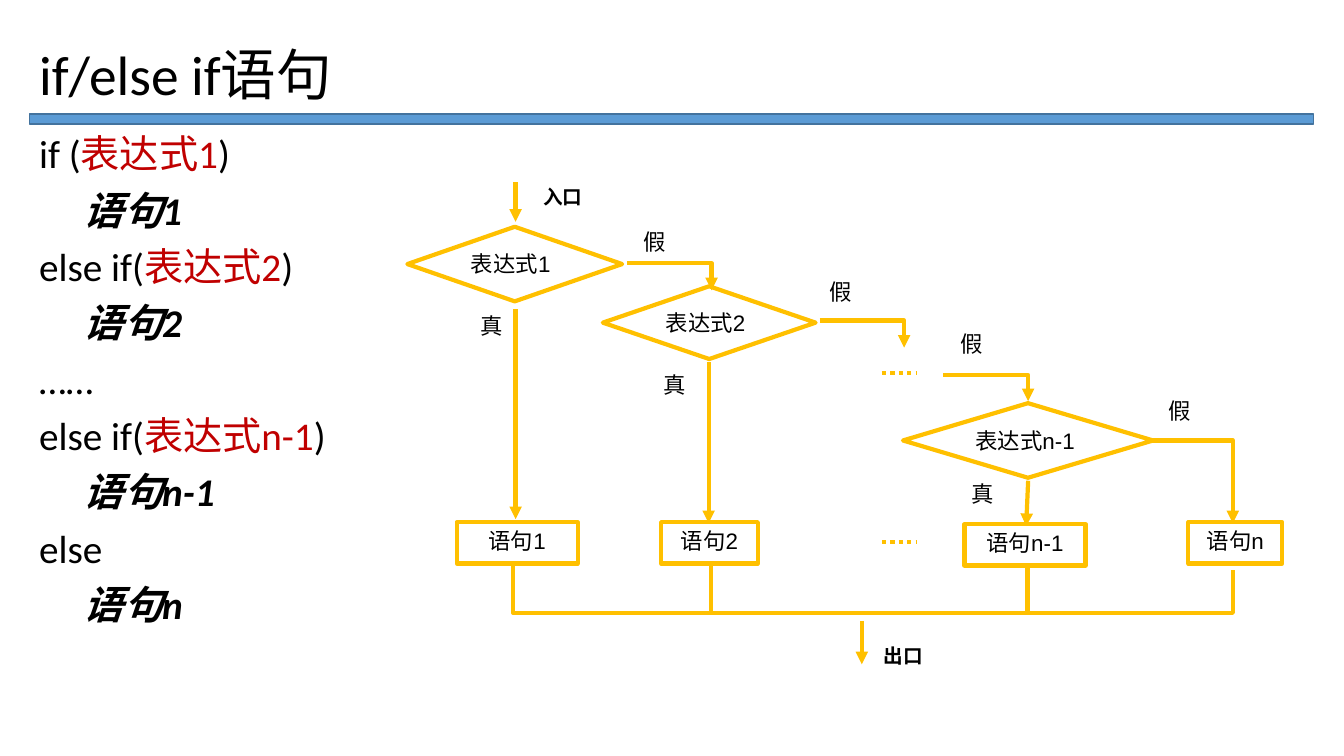
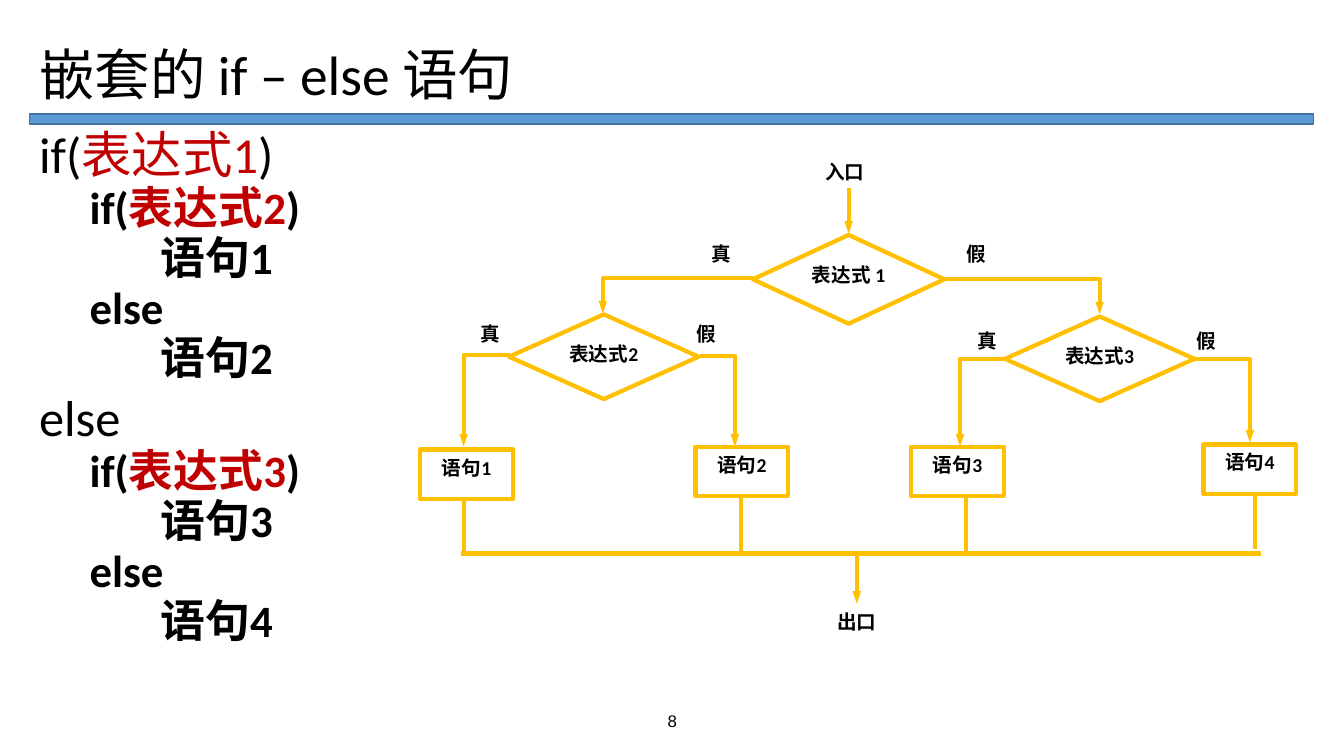
"""Build two flowchart slides about chained and nested if/else statements."""
from dataclasses import dataclass, replace
from typing import Any, NamedTuple, Optional, Sequence

import lxml.etree
import pptx
import pptx.dml.color
import pptx.enum.dml
import pptx.enum.shapes
import pptx.enum.text
import pptx.oxml.ns
import pptx.util

Pt = pptx.util.Pt
Align = pptx.enum.text.PP_ALIGN
Anchor = pptx.enum.text.MSO_ANCHOR
Preset = pptx.enum.shapes.MSO_SHAPE


@dataclass(frozen=True)
class Theme:
    text: str = "000000"
    expression: str = "C00000"
    flow: str = "FFC000"
    band: str = "5B9BD5"
    band_edge: str = "43739E"
    body_font: str = "Calibri"
    chart_font: str = "Arial"
    title_size: float = 39.6
    chain_size: float = 28
    outer_size: float = 36
    nested_size: float = 32
    branch_size: float = 16
    label_size: float = 14
    number_size: float = 12
    flow_width: float = 3
    band_width: float = 1


THEME = Theme()


class Box(NamedTuple):
    left: float
    top: float
    width: float
    height: float


class Point(NamedTuple):
    x: float
    y: float


class Run(NamedTuple):
    text: str
    color: str = THEME.text


@dataclass(frozen=True)
class TextStyle:
    size: float
    font: str = THEME.body_font
    bold: bool = False
    italic: bool = False
    align: Any = Align.LEFT
    spacing: float = 1.0
    before: float = 0
    indent: float = 0


class CodeLine(NamedTuple):
    style: TextStyle
    runs: Sequence[Run]


class Node(NamedTuple):
    text: str
    box: Box
    style: TextStyle
    preset: Optional[Any] = None


@dataclass(frozen=True)
class Route:
    points: Sequence[Point]
    arrow_width: str = ""
    dotted: bool = False


TITLE = TextStyle(THEME.title_size, spacing=0.9)
CHAIN = TextStyle(THEME.chain_size, spacing=0.9, before=10)
CHAIN_BODY = replace(CHAIN, bold=True, italic=True, indent=32)
OUTER = TextStyle(THEME.outer_size, spacing=0.8, before=10)
INNER = TextStyle(THEME.nested_size, bold=True, spacing=0.8, before=5, indent=36)
INNER_BODY = replace(INNER, indent=86.6)
BRANCH = TextStyle(THEME.branch_size, THEME.chart_font)
BRANCH_CENTER = replace(BRANCH, align=Align.CENTER)
LABEL = TextStyle(THEME.label_size, THEME.chart_font, bold=True, align=Align.CENTER, spacing=1.04)
NODE = replace(LABEL, font=THEME.body_font)
NUMBER = TextStyle(THEME.number_size, THEME.chart_font, align=Align.CENTER)

TITLE_BOX = Box(20.9, 28.8, 917.3, 52.6)
BAND_BOX = Box(20.9, 81.4, 917.3, 7.2)
BODY_BOX = Box(20.9, 92.9, 917.3, 393.1)
NUMBER_BOX = Box(318.2, 500.4, 324, 28.8)


def rgb(color: str) -> pptx.dml.color.RGBColor:
    """Turn a hex string into a colour."""
    return pptx.dml.color.RGBColor.from_string(color)


def apply_format(target: Any, values: dict[str, Any]) -> None:
    """Set every named attribute on the target."""
    for name, value in values.items():
        setattr(target, name, value)


def emu(box: Sequence[float]) -> list[int]:
    """Convert point lengths to slide units."""
    return [Pt(length) for length in box]


def write_text(shape: Any, lines: Sequence[CodeLine], anchor: Any = Anchor.TOP) -> None:
    """Fill a shape with styled paragraphs."""
    frame = shape.text_frame
    apply_format(frame, {"word_wrap": True, "vertical_anchor": anchor})
    for index, (style, runs) in enumerate(lines):
        paragraph = frame.add_paragraph() if index else frame.paragraphs[0]
        apply_format(paragraph, {"alignment": style.align, "line_spacing": style.spacing,
                                 "space_before": Pt(style.before)})
        if style.indent:
            paragraph._p.get_or_add_pPr().set("marL", str(Pt(style.indent)))
        for text, color in runs:
            run = paragraph.add_run()
            run.text = text
            apply_format(run.font, {"name": style.font, "size": Pt(style.size),
                                    "bold": style.bold, "italic": style.italic})
            run.font.color.rgb = rgb(color)


def draw_node(slide: Any, node: Node, anchor: Any = Anchor.TOP) -> None:
    """Draw a text label or an outlined flowchart shape."""
    if node.preset is None:
        shape = slide.shapes.add_textbox(*emu(node.box))
    else:
        shape = slide.shapes.add_shape(node.preset, *emu(node.box))
        shape.shadow.inherit = False
        shape.fill.background()
        set_line(shape, THEME.flow, THEME.flow_width)
    write_text(shape, [CodeLine(node.style, [Run(node.text)])], anchor)


def set_line(shape: Any, color: str, width: float) -> None:
    """Give a shape a solid outline."""
    shape.line.color.rgb = rgb(color)
    shape.line.width = Pt(width)


def draw_route(slide: Any, route: Route) -> None:
    """Draw a straight connector or a bent open line."""
    points = [emu(point) for point in route.points]
    if len(points) == 2:
        straight = pptx.enum.shapes.MSO_CONNECTOR.STRAIGHT
        shape = slide.shapes.add_connector(straight, *points[0], *points[1])
    else:
        builder = slide.shapes.build_freeform(*points[0])
        builder.add_line_segments(points[1:], close=False)
        shape = builder.convert_to_shape()
        shape.fill.background()
        shape.shadow.inherit = False
    set_line(shape, THEME.flow, THEME.flow_width)
    qualified = pptx.oxml.ns.qn
    properties = shape._element.spPr
    if len(points) == 2:
        lxml.etree.SubElement(properties, qualified("a:effectLst"))
    if route.dotted:
        shape.line.dash_style = pptx.enum.dml.MSO_LINE.ROUND_DOT
    if route.arrow_width:
        lxml.etree.SubElement(properties.find(qualified("a:ln")), qualified("a:tailEnd"),
                              type="triangle", w=route.arrow_width, len="med")


def line(x: float, y: float, end_x: float, end_y: float, arrow: str = "", dotted: bool = False) -> Route:
    """Describe a straight route."""
    return Route([Point(x, y), Point(end_x, end_y)], arrow, dotted)


def elbow(x: float, y: float, end_x: float, end_y: float, arrow: str) -> Route:
    """Describe a route that goes across and then down to an arrowhead."""
    return Route([Point(x, y), Point(end_x, y), Point(end_x, end_y)], arrow)


def condition(style: TextStyle, opening: str, expression: str) -> CodeLine:
    """Describe a code line that holds a highlighted expression."""
    return CodeLine(style, [Run(opening), Run(expression, THEME.expression), Run(")")])


def plain(style: TextStyle, text: str) -> CodeLine:
    """Describe a code line in one colour."""
    return CodeLine(style, [Run(text)])


def build_slide(presentation: Any, title: str, code: Sequence[CodeLine], nodes: Sequence[Node],
                routes: Sequence[Route], number: str = "") -> None:
    """Add a slide with title, band, code and flowchart."""
    slide = presentation.slides.add_slide(presentation.slide_layouts[6])
    band = slide.shapes.add_shape(Preset.RECTANGLE, *emu(BAND_BOX))
    band.shadow.inherit = False
    band.fill.solid()
    band.fill.fore_color.rgb = rgb(THEME.band)
    set_line(band, THEME.band_edge, THEME.band_width)
    draw_node(slide, Node(title, TITLE_BOX, TITLE), Anchor.MIDDLE)
    write_text(slide.shapes.add_textbox(*emu(BODY_BOX)), code)
    for route in routes:
        draw_route(slide, route)
    for node in nodes:
        draw_node(slide, node)
    if number:
        draw_node(slide, Node(number, NUMBER_BOX, NUMBER), Anchor.MIDDLE)


def build_chain(presentation: Any) -> None:
    """Add the slide on chained conditions."""
    code = [condition(CHAIN, "if (", "表达式1"), plain(CHAIN_BODY, "语句1"),
            condition(CHAIN, "else if(", "表达式2"), plain(CHAIN_BODY, "语句2"),
            plain(CHAIN, "……"),
            condition(CHAIN, "else if(", "表达式n-1"), plain(CHAIN_BODY, "语句n-1"),
            plain(CHAIN, "else"), plain(CHAIN_BODY, "语句n")]
    decisions = {"1": Box(291, 162, 153.4, 53.3), "2": Box(430.6, 204.5, 152, 52),
                 "n-1": Box(645, 288, 178.6, 53.3)}
    statements = {"1": Box(326.2, 373, 86.4, 29.5), "2": Box(472.3, 373, 69, 29.5),
                  "n-1": Box(689, 374.4, 86.4, 29.5), "n": Box(848.9, 373, 67, 29.5)}
    branches = {"假": [(452.9, 159.1), (585.4, 195.1), (679, 232.6), (827.3, 280.1)],
                "真": [(336.2, 219.6), (466.6, 261.4), (686.9, 339.1)]}
    nodes = [Node("表达式" + key, box, BRANCH, Preset.FLOWCHART_DECISION) for key, box in decisions.items()]
    nodes += [Node("语句" + key, box, BRANCH_CENTER, Preset.FLOWCHART_PROCESS)
              for key, box in statements.items()]
    nodes += [Node(text, Box(*place, 32.4, 28), BRANCH) for text, places in branches.items() for place in places]
    nodes += [Node("入口", Box(366.5, 128.2, 71.3, 27.4), LABEL),
              Node("出口", Box(609.8, 455.8, 71.3, 27.4), LABEL)]
    routes = [line(*ends, "med") for ends in (
        (368.3, 130.3, 368.3, 158.4), (368.3, 221, 368.3, 370.8), (506.2, 258.5, 506.2, 373.7),
        (734.4, 343.4, 733, 375.8), (615.6, 443.5, 615.6, 474.5))]
    routes += [elbow(*ends, "med") for ends in (
        (447.8, 187.9, 508.3, 207.4), (585.4, 229, 645.8, 248.4),
        (673.9, 267.8, 734.4, 286.6), (820.8, 314.6, 880.6, 373.7))]
    routes += [line(630, y, 655, y, dotted=True) for y in (266.4, 387.4)]
    routes += [line(x, 402.5, x, 437) for x in (507.6, 734)]
    routes.append(Route([Point(366.5, 402.5), Point(366.5, 437.8), Point(880.6, 437.8), Point(880.6, 407.5)]))
    build_slide(presentation, "if/else if语句", code, nodes, routes)


def build_nested(presentation: Any) -> None:
    """Add the slide on nested conditions."""
    code = []
    for opening, inner, first, second in ((condition(OUTER, "if(", "表达式1"), "表达式2", "语句1", "语句2"),
                                          (plain(OUTER, "else"), "表达式3", "语句3", "语句4")):
        code += [opening, condition(INNER, "if(", inner), plain(INNER_BODY, first),
                 plain(INNER, "else"), plain(INNER_BODY, second)]
    decisions = {"表达式 1": Box(537.8, 167.8, 136.8, 63.4), "表达式2": Box(363.6, 224.6, 135.4, 60.5),
                 "表达式3": Box(717.8, 226.1, 135.4, 60.5)}
    statements = [(300.2, 321.1), (496.8, 319), (650.9, 319), (859.7, 317.5)]
    branches = {"真": [(496.8, 168.5), (331.2, 226.1), (686.2, 231.1)],
                "假": [(679, 168.5), (486, 225.4), (843.1, 231.1)]}
    nodes = [Node(text, box, NODE, Preset.FLOWCHART_DECISION) for text, box in decisions.items()]
    nodes += [Node(f"语句{index}", Box(*place, 66.2, 35.3), NODE, Preset.FLOWCHART_PROCESS)
              for index, place in enumerate(statements, 1)]
    nodes += [Node(text, Box(*place, 37.4, 33), LABEL) for text, places in branches.items() for place in places]
    nodes += [Node("入口", Box(562.3, 110.2, 82.1, 33), LABEL),
              Node("出口", Box(571, 431.3, 82.1, 33), LABEL)]
    routes = [elbow(*ends, "sm") for ends in (
        (537.8, 198.7, 430.6, 223.9), (674.6, 199.4, 785.5, 224.6),
        (364.3, 253.4, 331.2, 319), (499.7, 254.2, 524.9, 319),
        (719.3, 256.3, 685.8, 319), (851, 256.3, 892.8, 316.1))]
    routes += [line(606.2, 134.6, 606.2, 167, "sm"), line(612, 395.3, 612, 431.3, "sm")]
    routes += [line(x, top + 35.3, x, top + 74.5)
               for x, (_, top) in zip((331.2, 529.2, 689.8, 896.4), statements)]
    routes.append(line(329, 395.3, 900.7, 395.3))
    build_slide(presentation, "嵌套的 if – else 语句", code, nodes, routes, "8")


def main() -> None:
    """Create the presentation and save it."""
    presentation = pptx.Presentation()
    apply_format(presentation, {"slide_width": Pt(960), "slide_height": Pt(540)})
    build_chain(presentation)
    build_nested(presentation)
    presentation.save("out.pptx")


main()
